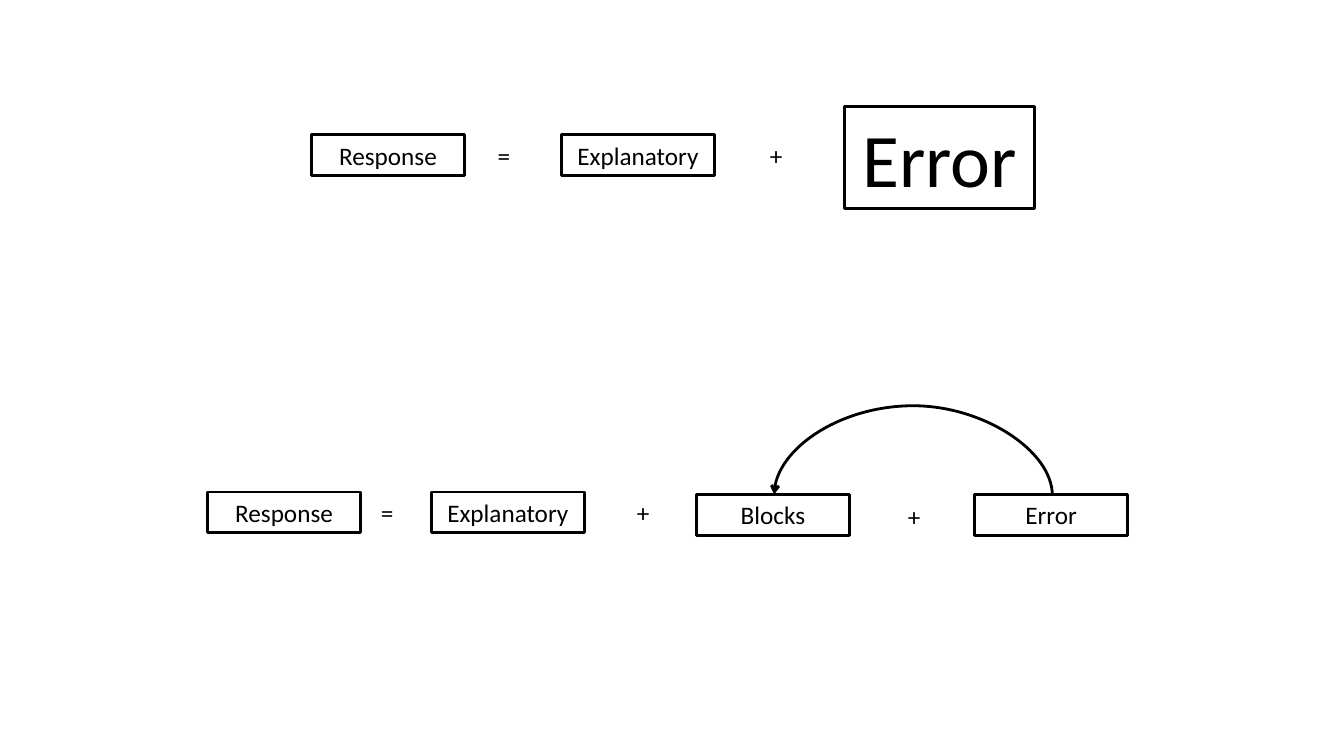
from lxml import etree
from pptx import Presentation
from pptx.dml.color import RGBColor
from pptx.enum import shapes, text
from pptx.oxml import ns
from pptx.util import Cm, Pt

# Content: (wording, left, top) in cm
EQUATIONS = [
    [("Response", 7.85, 3.4), ("=", 12.29, 3.4), ("Explanatory", 14.15, 3.4),
     ("+", 19.15, 3.4)],
    [("Response", 5.23, 12.4), ("=", 9.35, 12.4), ("Explanatory", 10.87, 12.4),
     ("+", 15.8, 12.4), ("Blocks", 17.55, 12.47), ("+", 22.63, 12.52),
     ("Error", 24.56, 12.47)],
]
LARGE_ERROR = ("Error", 21.28, 2.69)
TERM_SIZE = (3.86, 1.02)
LARGE_ERROR_SIZE = (4.8, 2.57)
OPERATOR_SIZE = (0.84, 1.02)
COLORS = {"ink": "000000"}
FONT = "Calibri"
LINE_WIDTH = Pt(2)

# Arc from the small error term back to the blocks term, in cm
ARC = {"left": 19.51, "right": 26.52, "base": 12.47, "rise": 2.26, "drop": 0.03}

ink = RGBColor.from_string(COLORS["ink"])
deck = Presentation()
deck.slide_width, deck.slide_height = Cm(33.87), Cm(19.05)
slide = deck.slides.add_slide(deck.slide_layouts[6])


def write(holder, wording, points, align, wrap):
    frame = holder.text_frame
    frame.word_wrap = wrap
    frame.auto_size = text.MSO_AUTO_SIZE.SHAPE_TO_FIT_TEXT
    frame.vertical_anchor = text.MSO_ANCHOR.TOP
    paragraph = frame.paragraphs[0]
    paragraph.alignment = align
    run = paragraph.add_run()
    run.text = wording
    run.font.name, run.font.size = FONT, Pt(points)
    run.font.color.rgb = ink


def add_term(wording, left, top, size=TERM_SIZE, points=18):
    term = slide.shapes.add_shape(shapes.MSO_SHAPE.RECTANGLE,
                                  *map(Cm, (left, top, *size)))
    term.shadow.inherit = False
    term.fill.background()
    term.line.color.rgb, term.line.width = ink, LINE_WIDTH
    write(term, wording, points, text.PP_ALIGN.CENTER, True)


def add_operator(sign, left, top):
    operator = slide.shapes.add_textbox(*map(Cm, (left, top, *OPERATOR_SIZE)))
    write(operator, sign, 18, text.PP_ALIGN.LEFT, False)


# Equations
for equation in EQUATIONS:
    for wording, left, top in equation:
        add = add_operator if wording in "=+" else add_term
        add(wording, left, top)
add_term(*LARGE_ERROR, LARGE_ERROR_SIZE, 54)

# Arc: laid out upright, then turned a quarter so that it bulges upwards
center = (ARC["left"] + ARC["right"]) / 2
half_span = (ARC["right"] - ARC["left"]) / 2
half_drop = ARC["drop"] / 2
arc = slide.shapes.add_connector(
    shapes.MSO_CONNECTOR.CURVE,
    Cm(center - half_drop), Cm(ARC["base"] + half_span),
    Cm(center + half_drop), Cm(ARC["base"] - half_span))
arc.line.color.rgb, arc.line.width = ink, LINE_WIDTH
properties = arc.element.spPr
properties.find(ns.qn("a:xfrm")).set("rot", str(270 * 60000))
geometry = properties.find(ns.qn("a:prstGeom"))
bulge = round(ARC["rise"] / ARC["drop"] * 100000)
etree.SubElement(geometry.find(ns.qn("a:avLst")), ns.qn("a:gd"),
                 name="adj1", fmla=f"val {bulge}")
etree.SubElement(properties.find(ns.qn("a:ln")), ns.qn("a:tailEnd"), type="arrow")
etree.SubElement(properties, ns.qn("a:effectLst"))

deck.save("out.pptx")
